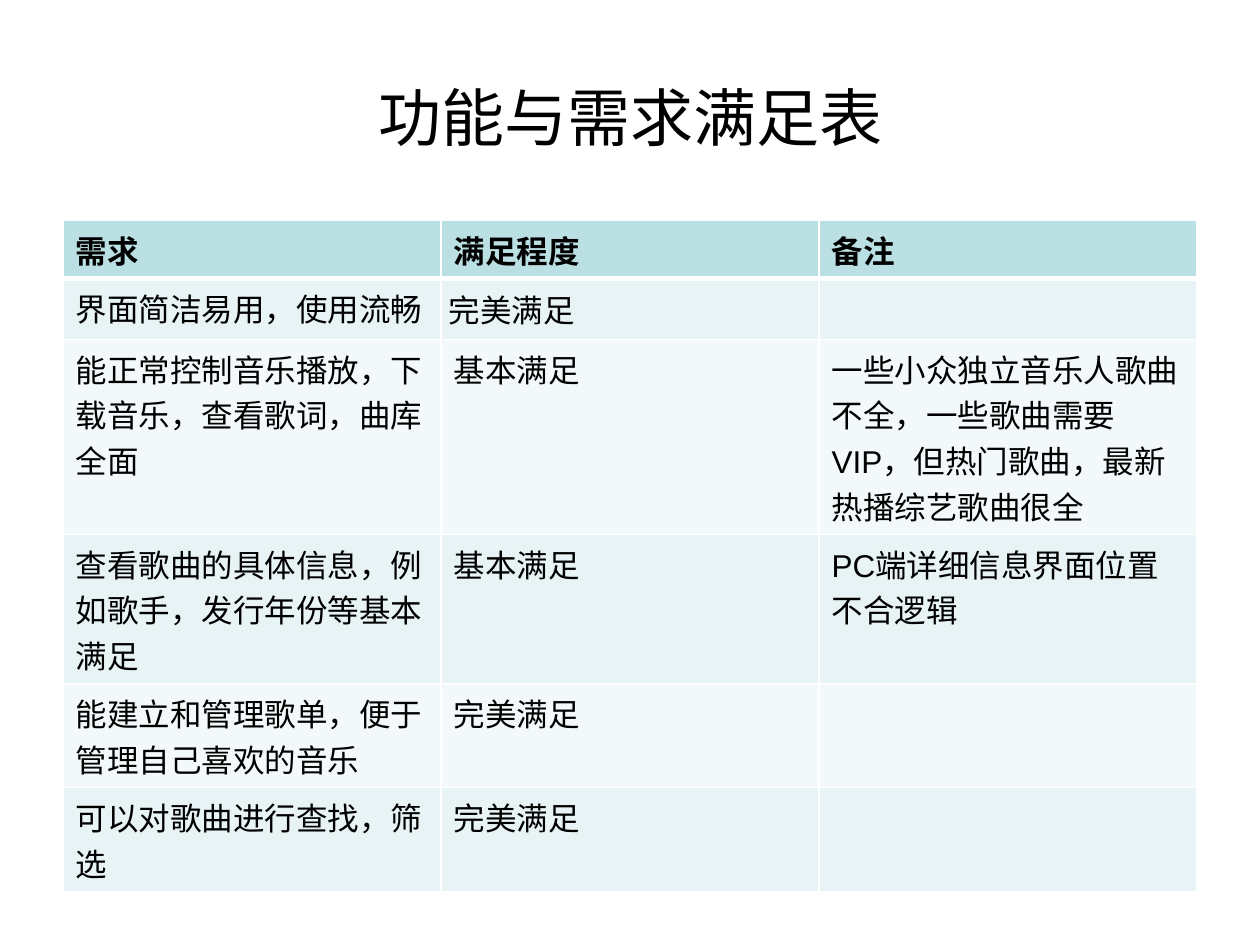
from lxml import etree
from pptx import Presentation
from pptx import util as u
from pptx.dml import color
from pptx.enum import text
from pptx.oxml import ns

HEAD, BANDS = "BBE0E3", ("E7F3F4", "F3F9FA")
ROWS = [
    ("需求", "满足程度", "备注"),
    ("界面简洁易用，使用流畅", "完美满足", ""),
    ("能正常控制音乐播放，下载音乐，查看歌词，曲库全面", "基本满足",
     "一些小众独立音乐人歌曲不全，一些歌曲需要VIP，但热门歌曲，最新热播综艺歌曲很全"),
    ("查看歌曲的具体信息，例如歌手，发行年份等基本满足", "基本满足",
     "PC端详细信息界面位置不合逻辑"),
    ("能建立和管理歌单，便于管理自己喜欢的音乐", "完美满足", ""),
    ("可以对歌曲进行查找，筛选", "完美满足", ""),
]


def paint(fill, tint):
    """Fill with a solid colour given as a hex string."""
    fill.solid()
    fill.fore_color.rgb = color.RGBColor.from_string(tint)


def style(font, size, bold=False):
    """Set a font to black Arial of the given size."""
    font.name, font.size, font.bold = "Arial", u.Pt(size), bold
    paint(font.fill, "000000")


def write(para, words, size, bold=False):
    """Add one styled run to a paragraph."""
    run = para.add_run()
    run.text = words
    style(run.font, size, bold)


def edge(cell, widths):
    """Draw white cell borders; widths run left, right, top, bottom."""
    props = cell._tc.get_or_add_tcPr()
    for spot, (side, width) in enumerate(zip("LRTB", widths)):
        line = etree.Element(ns.qn("a:ln" + side), w=str(u.Pt(width)))
        fill = etree.SubElement(line, ns.qn("a:solidFill"))
        etree.SubElement(fill, ns.qn("a:srgbClr"), val="FFFFFF")
        props.insert(spot, line)


def title(slide, box, words):
    """Place the centred title in its box."""
    shape = slide.shapes.title
    shape.left, shape.top, shape.width, shape.height = box
    frame = shape.text_frame
    frame.word_wrap = True
    frame.vertical_anchor = text.MSO_ANCHOR.MIDDLE
    para = frame.paragraphs[0]
    para.alignment = text.PP_ALIGN.CENTER
    write(para, words, 36)


def grid(slide, box, rows):
    """Place the banded table of needs in its box."""
    table = slide.shapes.add_table(len(rows), len(rows[0]), *box).table
    for r, row in enumerate(rows):
        for c, words in enumerate(row):
            cell = table.cell(r, c)
            paint(cell.fill, BANDS[(r - 1) % 2] if r else HEAD)
            edge(cell, (1, 1, 3 if r == 1 else 1, 1 if r else 3))
            para = cell.text_frame.paragraphs[0]
            if words:
                write(para, words, 18, r == 0)
            else:
                style(para.font, 18)
    mid = table.cell(1, 1)
    mid.vertical_anchor = text.MSO_ANCHOR.MIDDLE
    mid.margin_left = mid.margin_right = u.Inches(0.06)
    mid.margin_top = mid.margin_bottom = u.Inches(0.06)


def main():
    """Build and save the slide."""
    deck = Presentation()
    deck.slide_width, deck.slide_height = u.Inches(10), u.Inches(7.5)
    slide = deck.slides.add_slide(deck.slide_layouts[5])
    title(slide, [u.Inches(n) for n in (0.5, 0.3, 9, 1.25)], "功能与需求满足表")
    grid(slide, [u.Inches(n) for n in (0.5, 1.75, 9, 2.5)], ROWS)
    deck.save("out.pptx")


if __name__ == "__main__":
    main()
